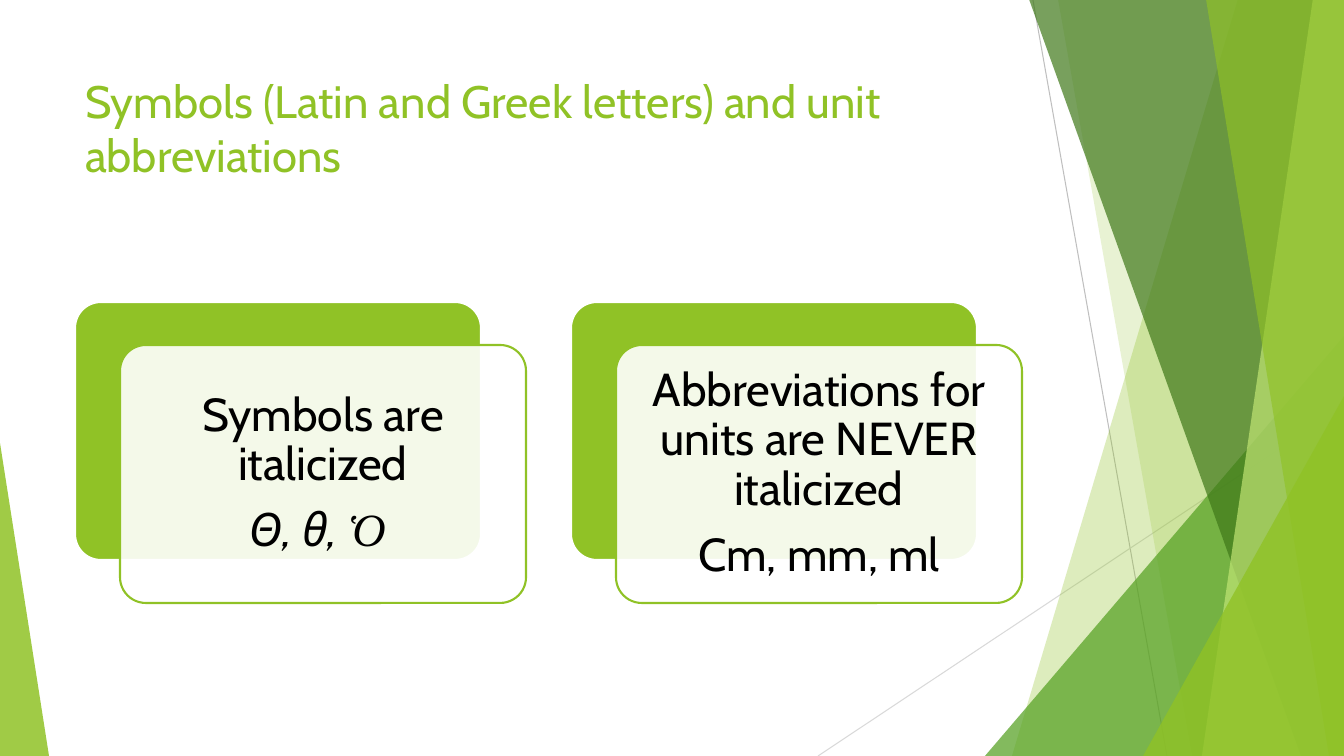
"""Builds the slide on italicizing symbols and unit abbreviations."""
from lxml import etree
from pptx import Presentation
from pptx import util as u
from pptx.dml.color import RGBColor
from pptx.enum import shapes, text
from pptx.oxml.ns import qn

PX = 914400 / 100.8
W, H = 1344, 756
COLORS = {"green": "90C226", "leaf": "54A021", "forest": "3F7819", "lime": "C0E474",
          "white": "FFFFFF", "black": "000000", "gray": "BFBFBF", "silver": "D9D9D9"}
FONT = "Cabin"

TITLE = "Symbols (Latin and Greek letters) and unit\nabbreviations"
CARDS = [
    [[("Symbols are italicized", {})],
     [("Θ, θ, ", {"italic": True}), ("Ὁ ", {"italic": True, "font": "Times New Roman"})]],
    [[("Abbreviations for units are NEVER italicized", {})],
     [("Cm, mm, ml", {})]],
]
LINES = [((1033, 0), (1167, H), "gray"), ((W, 406), (818, H), "silver")]
# kind, geometry, color, opacity
FACETS = [
    ("band", (1238, W, W, 1012), "green", 30),
    ("band", (1058, W, W, 1192), "green", 20),
    ("triangle", (985, 336, 359, 420, 1), "leaf", 72),
    ("band", (1029, W, W, 1301), "forest", 70),
    ("band", (1313, W, W, 1202), "lime", 70),
    ("band", (1206, W, W, 1329), "green", 65),
    ("triangle", (1143, 396, 201, 360, 1), "green", 80),
    ("triangle", (0, 443, 49, 313, 0), "green", 85),
]
CARD_X, CARD_Y, CARD_W, CARD_H, CARD_STEP = 75, 302, 406, 258, 496
FRONT_DX, FRONT_DY, TEXT_PAD = 45, 43, 7


def px(*values):
    return [u.Emu(round(v * PX)) for v in values]


def rgb(name):
    return RGBColor.from_string(COLORS[name])


def paint(sp, fill, alpha=100, line=None):
    sp.shadow.inherit = False
    sp.fill.solid()
    sp.fill.fore_color.rgb = rgb(fill)
    if alpha < 100:
        color = sp.fill._xPr.find(".//" + qn("a:srgbClr"))
        etree.SubElement(color, qn("a:alpha")).set("val", str(alpha * 1000))
    if line:
        sp.line.color.rgb = rgb(line)
        sp.line.width = u.Pt(1.5)
    else:
        sp.line.fill.background()


def add_text(s, box, paragraphs, size, color, inset=(10, 5), align=text.PP_ALIGN.LEFT,
             anchor=text.MSO_ANCHOR.TOP, spacing=None, after=0):
    tf = s.shapes.add_textbox(*px(*box)).text_frame
    tf.word_wrap = True
    tf.vertical_anchor = anchor
    tf.margin_left, tf.margin_top = tf.margin_right, tf.margin_bottom = px(*inset)
    for i, runs in enumerate(paragraphs):
        p = tf.add_paragraph() if i else tf.paragraphs[0]
        p.alignment, p.space_after = align, u.Pt(after)
        if spacing:
            p.line_spacing = spacing
        for content, style in runs:
            for j, part in enumerate(content.split("\n")):
                if j:
                    p.add_line_break()
                r = p.add_run()
                r.text = part
                r.font.name = style.get("font", FONT)
                r.font.italic = style.get("italic")
                r.font.size = u.Pt(size)
                r.font.color.rgb = rgb(color)


def add_background(s):
    for start, end, color in LINES:
        c = s.shapes.add_connector(shapes.MSO_CONNECTOR.STRAIGHT, *px(*start, *end))
        c.line.color.rgb = rgb(color)
        c.line.width = u.Pt(0.75)
        etree.SubElement(c._element.spPr, qn("a:effectLst"))
    for kind, geometry, color, alpha in FACETS:
        if kind == "band":
            top_left, top_right, bottom_right, bottom_left = geometry
            fb = s.shapes.build_freeform(top_left, -1, scale=PX)
            fb.add_line_segments([(top_right, -1), (bottom_right, H), (bottom_left, H)])
            sp = fb.convert_to_shape()
        else:
            *box, apex = geometry
            sp = s.shapes.add_shape(shapes.MSO_SHAPE.ISOSCELES_TRIANGLE, *px(*box))
            sp.adjustments[0] = apex
        paint(sp, color, alpha)


def add_card(s, x, paragraphs):
    front_x, front_y = x + FRONT_DX, CARD_Y + FRONT_DY
    for left, top, fill, alpha, line in [(x, CARD_Y, "green", 100, "white"),
                                         (front_x, front_y, "white", 90, "green")]:
        sp = s.shapes.add_shape(shapes.MSO_SHAPE.ROUNDED_RECTANGLE,
                                *px(left, top, CARD_W, CARD_H))
        sp.adjustments[0] = 0.1
        paint(sp, fill, alpha, line)
    box = (front_x + TEXT_PAD, front_y + TEXT_PAD,
           CARD_W - 2 * TEXT_PAD, CARD_H - 2 * TEXT_PAD)
    add_text(s, box, paragraphs, 33, "black", inset=(14, 14), align=text.PP_ALIGN.CENTER,
             anchor=text.MSO_ANCHOR.MIDDLE, spacing=0.9, after=11.5)


def main():
    prs = Presentation()
    prs.slide_width, prs.slide_height = px(W, H)
    s = prs.slides.add_slide(prs.slide_layouts[6])
    add_background(s)
    add_text(s, (75, 68, 947, 145), [[(TITLE, {})]], 32.4, "green")
    for i, paragraphs in enumerate(CARDS):
        add_card(s, CARD_X + i * CARD_STEP, paragraphs)
    prs.save("out.pptx")


if __name__ == "__main__":
    main()
